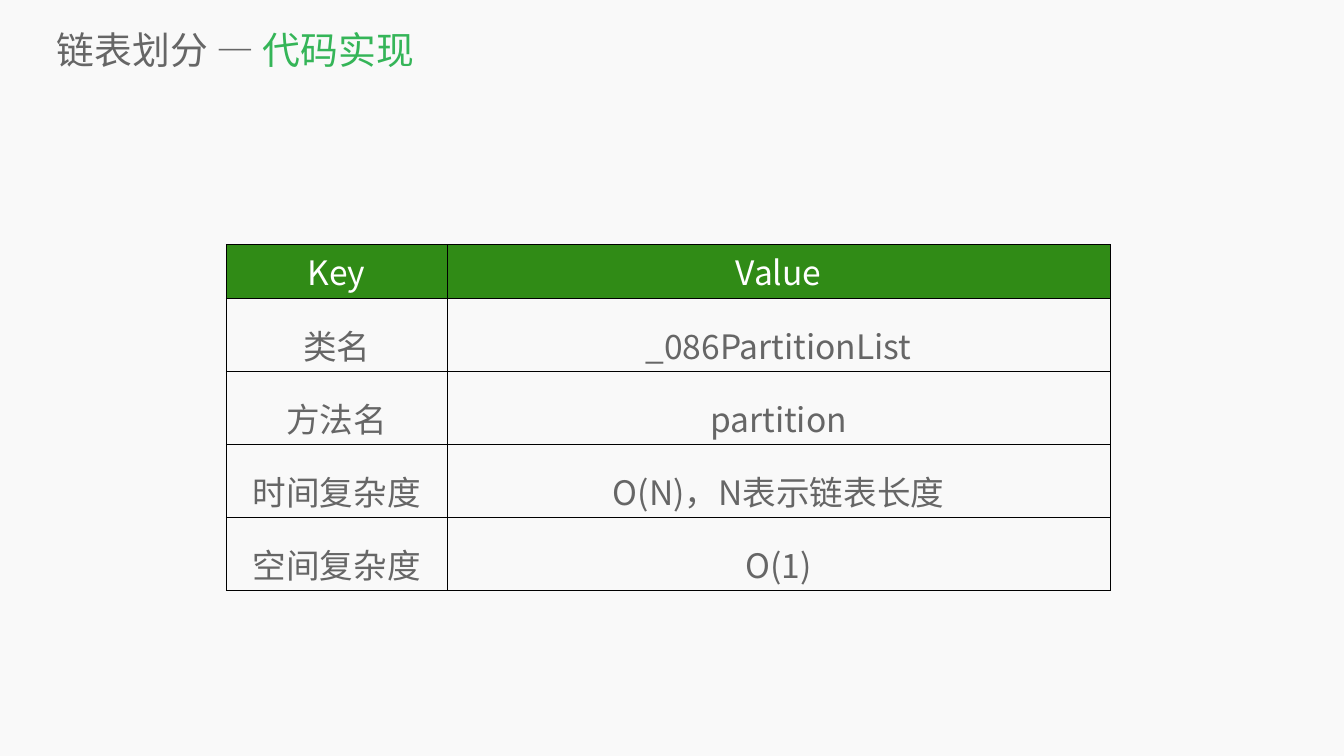
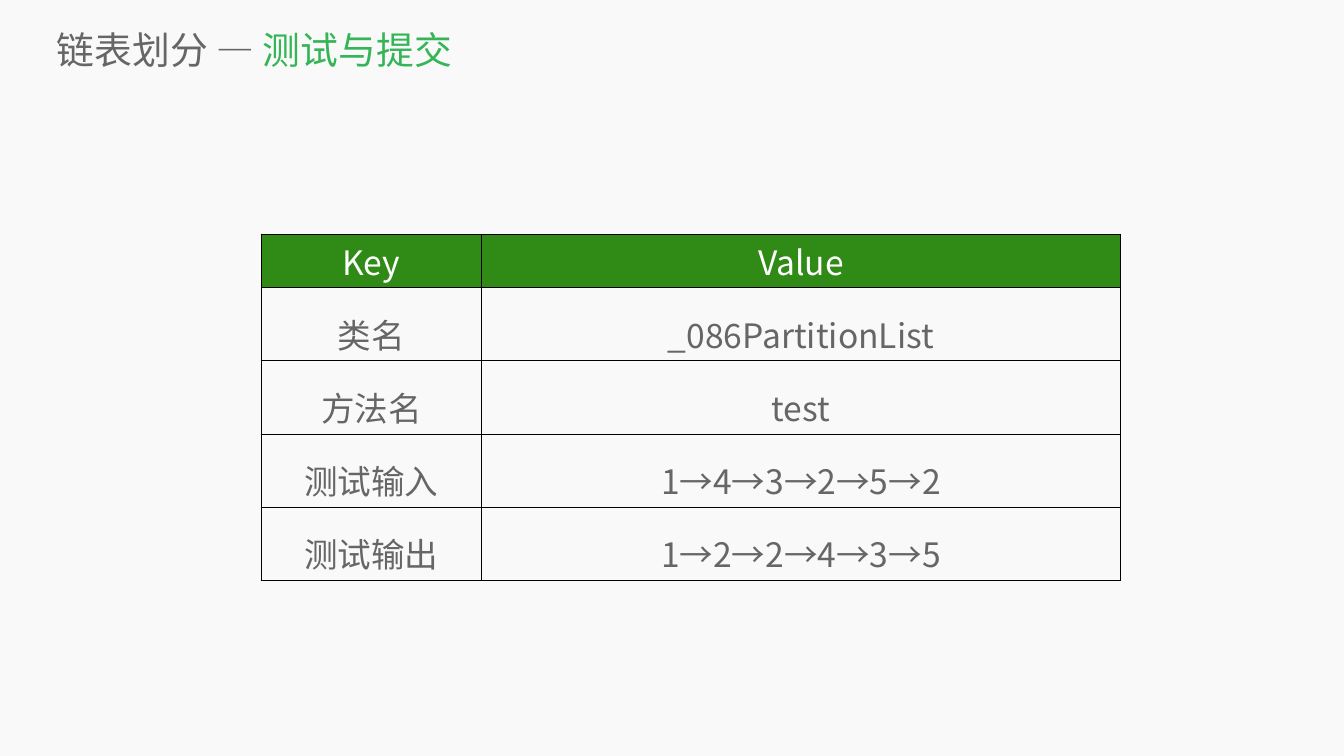
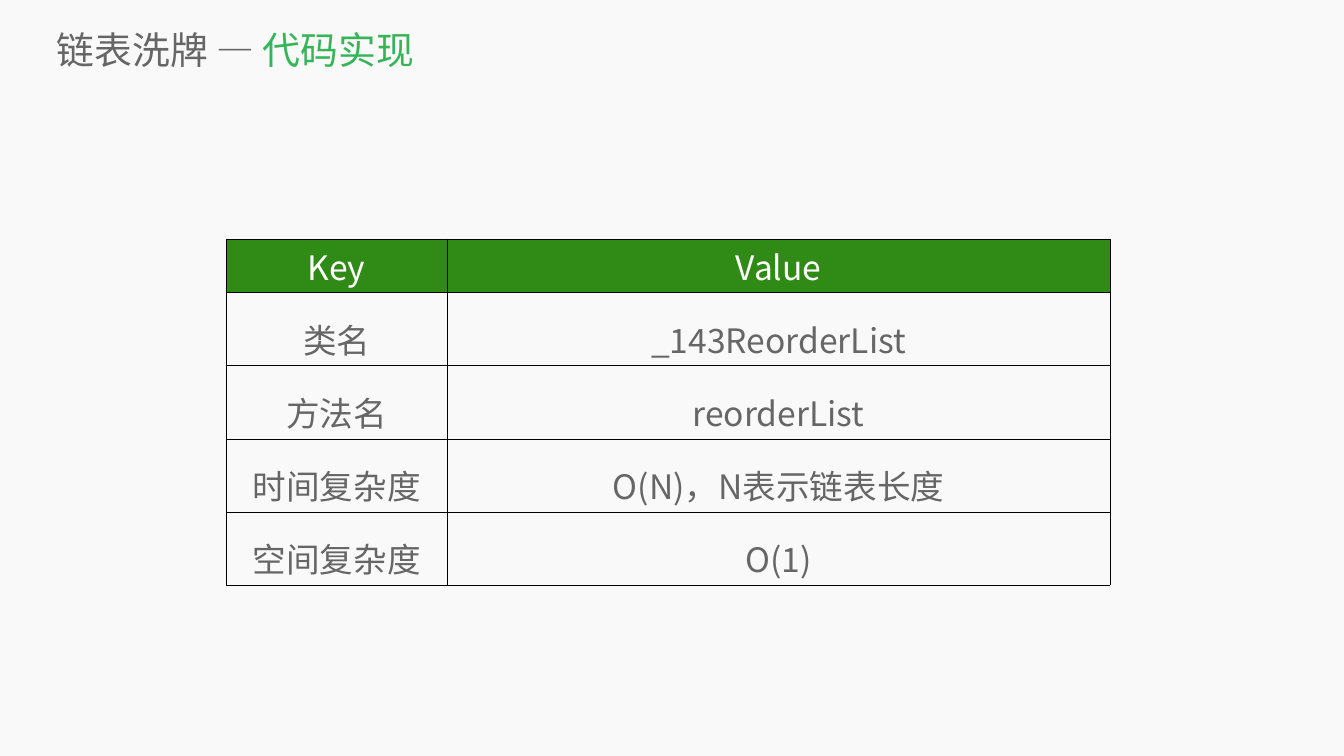
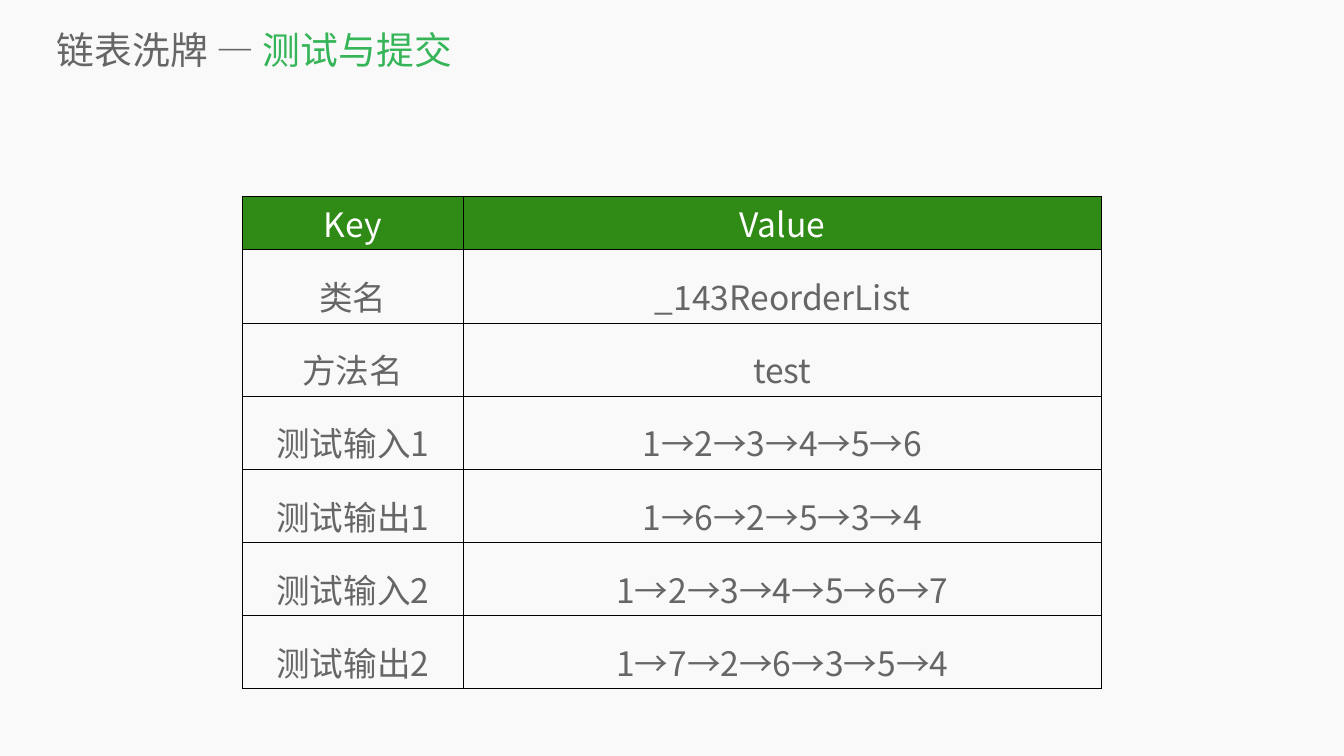
from pptx import Presentation, util as u
from pptx.dml.color import RGBColor
from pptx.enum import text
from pptx.oxml import parse_xml
from pptx.oxml.ns import nsdecls

FONT = "Noto Sans CJK SC"
COLORS = {
    "background": "F9F9F9",
    "text": "666666",
    "accent": "35B558",
    "header": "308B16",
    "header_text": "FFFFFF",
    "border": "000000",
}
TITLE_BOX = (1.13, 0.47, 25.16, 1.02)
KEY_WIDTH = 4.38
HEADER_HEIGHT = 0.85
ROW_HEIGHT = 0.83

# topic, step, table (left, top, width), rows
SLIDES = [
    ("链表划分", "代码实现", (4.49, 4.85, 17.54), [
        ("类名", "_086PartitionList"),
        ("方法名", "partition"),
        ("时间复杂度", "O(N)，N表示链表长度"),
        ("空间复杂度", "O(1)"),
    ]),
    ("链表划分", "测试与提交", (5.18, 4.64, 17.05), [
        ("类名", "_086PartitionList"),
        ("方法名", "test"),
        ("测试输入", "1→4→3→2→5→2"),
        ("测试输出", "1→2→2→4→3→5"),
    ]),
    ("链表洗牌", "代码实现", (4.49, 4.74, 17.54), [
        ("类名", "_143ReorderList"),
        ("方法名", "reorderList"),
        ("时间复杂度", "O(N)，N表示链表长度"),
        ("空间复杂度", "O(1)"),
    ]),
    ("链表洗牌", "测试与提交", (4.81, 3.89, 17.05), [
        ("类名", "_143ReorderList"),
        ("方法名", "test"),
        ("测试输入1", "1→2→3→4→5→6"),
        ("测试输出1", "1→6→2→5→3→4"),
        ("测试输入2", "1→2→3→4→5→6→7"),
        ("测试输出2", "1→7→2→6→3→5→4"),
    ]),
]


def rgb(name):
    return RGBColor.from_string(COLORS[name])


def add_text(p, content, size=48, color="text", align=None, spacing=None):
    """Add a run to a paragraph, with one font for Latin and Chinese letters."""
    if align is not None:
        p.alignment = align
    if spacing is not None:
        p.line_spacing = spacing
    r = p.add_run()
    r.text = content
    r.font.size = u.Pt(size)
    r.font.name = FONT
    r.font.color.rgb = rgb(color)
    r._r.get_or_add_rPr().append(
        parse_xml(f'<a:ea {nsdecls("a")} typeface="{FONT}"/>'))


def add_borders(cell):
    tcPr = cell._tc.get_or_add_tcPr()
    for i, side in enumerate(("lnL", "lnR", "lnT", "lnB")):
        tcPr.insert(i, parse_xml(
            f'<a:{side} {nsdecls("a")} w="{u.Pt(1)}"><a:solidFill>'
            f'<a:srgbClr val="{COLORS["border"]}"/></a:solidFill></a:{side}>'))


def place_title(s, box, topic, step):
    sp = s.shapes.title
    sp.left, sp.top, sp.width, sp.height = map(u.Inches, box)
    tf = sp.text_frame
    tf.margin_left = tf.margin_top = tf.margin_right = tf.margin_bottom = 0
    tf.vertical_anchor = text.MSO_ANCHOR.MIDDLE
    tf.word_wrap = True
    tf.auto_size = text.MSO_AUTO_SIZE.NONE
    p = tf.paragraphs[0]
    add_text(p, f"{topic} — ", size=54, align=text.PP_ALIGN.LEFT)
    add_text(p, step, size=54, color="accent")


def place_table(s, box, rows):
    left, top, width = box
    height = HEADER_HEIGHT + ROW_HEIGHT * len(rows)
    table = s.shapes.add_table(
        len(rows) + 1, 2, *map(u.Inches, (left, top, width, height))).table
    table.horz_banding = False
    table.columns[0].width = u.Inches(KEY_WIDTH)
    table.columns[1].width = u.Inches(width - KEY_WIDTH)
    for i, values in enumerate([("Key", "Value"), *rows]):
        header = i == 0
        table.rows[i].height = u.Inches(HEADER_HEIGHT if header else ROW_HEIGHT)
        for cell, value in zip(table.rows[i].cells, values):
            if header:
                cell.fill.solid()
                cell.fill.fore_color.rgb = rgb("header")
            else:
                cell.fill.background()
            add_borders(cell)
            add_text(cell.text_frame.paragraphs[0], value,
                     color="header_text" if header else "text",
                     align=text.PP_ALIGN.CENTER,
                     spacing=None if header else 1.4)


def main():
    prs = Presentation()
    prs.slide_width, prs.slide_height = u.Inches(26.67), u.Inches(15)
    fill = prs.slide_master.background.fill
    fill.solid()
    fill.fore_color.rgb = rgb("background")
    for topic, step, table_box, rows in SLIDES:
        s = prs.slides.add_slide(prs.slide_layouts.get_by_name("Title Only"))
        place_title(s, TITLE_BOX, topic, step)
        place_table(s, table_box, rows)
    prs.save("out.pptx")


if __name__ == "__main__":
    main()
